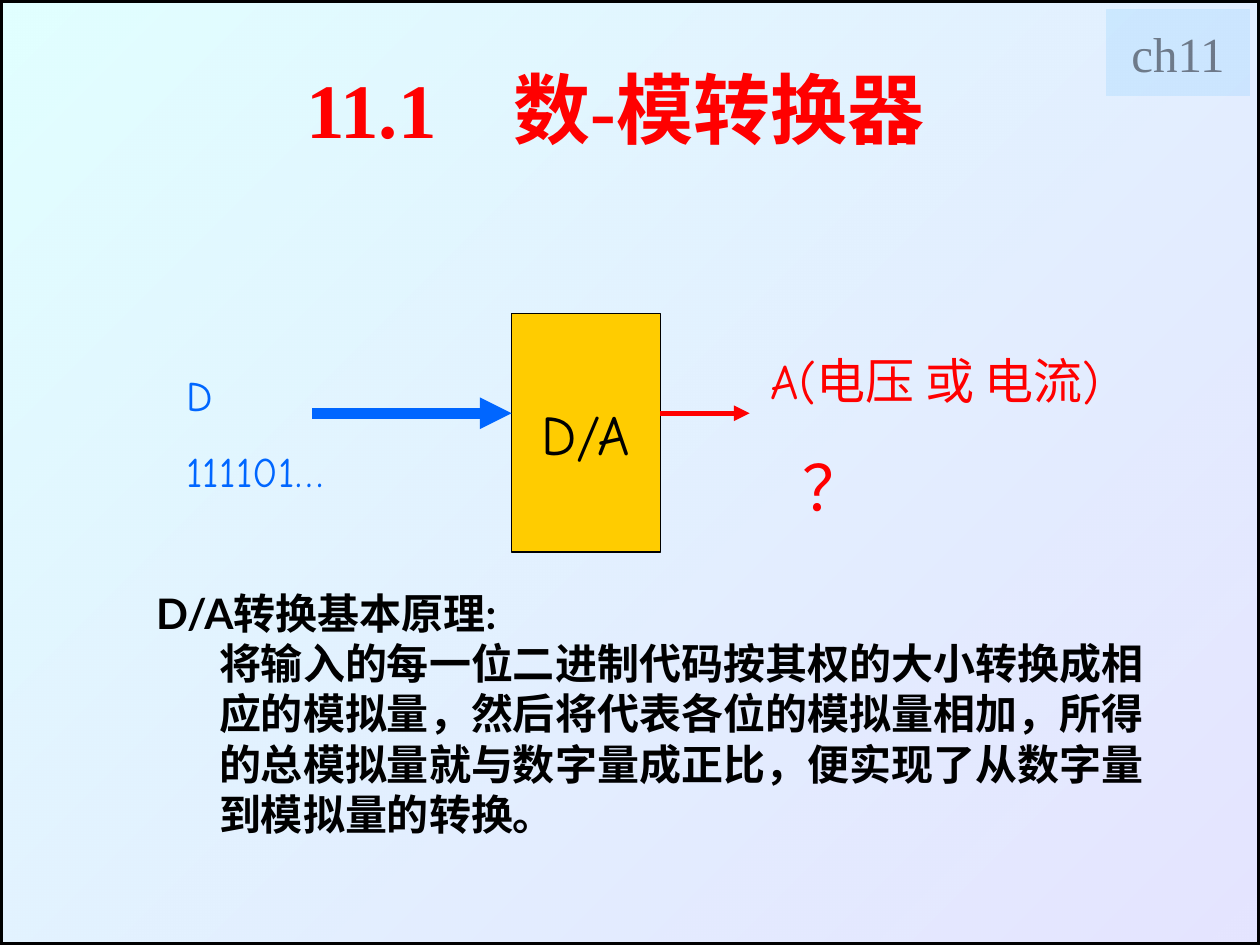
import pptx
import pptx.dml.color
import pptx.enum.shapes
import pptx.enum.text
import pptx.oxml
import pptx.oxml.ns
import pptx.util
from pptx.util import Inches, Pt

SHAPES = pptx.enum.shapes.MSO_SHAPE
ALIGN = pptx.enum.text.PP_ALIGN
ANCHOR = pptx.enum.text.MSO_ANCHOR

RED, BLUE, BLACK = "FF0000", "0066FF", "000000"
SERIF, COMIC, SANS = "Times New Roman", "Comic Neue", "Lato"

# paragraphs: text, size, space before, left indent
CHAPTER = [("ch11", 28, 7, 0)]
TITLE = [("11.1　数-模转换器", 44, 0, 0)]
DIGITAL_INPUT = [("D", 24, 15, 0), ("111101…", 24, 15, 0)]
CONVERTER = [("D/A", 32, 0, 0)]
ANALOG_OUTPUT = [("A(电压 或 电流)", 28, 17.5, 0), ("？", 36, 22.5, 0.25)]
PRINCIPLE = [
    ("D/A转换基本原理:", 24, 0, 0),
    ("将输入的每一位二进制代码按其权的大小转换成相应的模拟量，"
     "然后将代表各位的模拟量相加，所得的总模拟量就与数字量成正比，"
     "便实现了从数字量到模拟量的转换。", 24, 0, 0.5),
]

CONVERTER_BOX = (4.06, 2.49, 1.18, 1.89)
CONVERTER_LEFT = CONVERTER_BOX[0]
CONVERTER_RIGHT = CONVERTER_BOX[0] + CONVERTER_BOX[2]
SIGNAL_Y = 3.28
# start x, end x, colour, width
ARROWS = [(2.48, CONVERTER_LEFT, BLUE, 6), (CONVERTER_RIGHT, 5.95, RED, 3)]

# colour, opacity in percent
WASH = [("CCCCFF", 51), ("CCFFFF", 59)]


def rgb(value):
    return pptx.dml.color.RGBColor.from_string(value)


def add_xml(parent, tag, **attributes):
    element = pptx.oxml.parse_xml(f"<a:{tag} {pptx.oxml.ns.nsdecls('a')}/>")
    for name, value in attributes.items():
        element.set(name, value)
    parent.append(element)


def write(shape, paragraphs, font, color, bold=False, align=ALIGN.LEFT,
          anchor=ANCHOR.TOP, wrap=True):
    frame = shape.text_frame
    frame.word_wrap = wrap
    frame.vertical_anchor = anchor
    frame.text = "\n".join(text for text, *_ in paragraphs)
    for paragraph, (_, size, before, indent) in zip(frame.paragraphs, paragraphs):
        paragraph.alignment = align
        paragraph.space_before = Pt(before)
        paragraph.font.name = font
        paragraph.font.size = Pt(size)
        paragraph.font.bold = bold
        paragraph.font.color.rgb = rgb(color)
        if indent:
            properties = paragraph._p.get_or_add_pPr()
            properties.set("marL", str(Inches(indent)))
            properties.set("indent", "0")


def add_text(slide, box, paragraphs, font, color, **options):
    shape = slide.shapes.add_textbox(*map(Inches, box))
    write(shape, paragraphs, font, color, **options)


def add_rectangle(slide, box, line, width, fill=None):
    shape = slide.shapes.add_shape(SHAPES.RECTANGLE, *map(Inches, box))
    shape.shadow.inherit = False
    shape.line.color.rgb = rgb(line)
    shape.line.width = Pt(width)
    if fill:
        shape.fill.solid()
        shape.fill.fore_color.rgb = rgb(fill)
    return shape


def add_wash(slide):
    """Cover the slide with a framed, translucent diagonal gradient."""
    shape = add_rectangle(slide, (0, 0, 10, 7.5), BLACK, 3)
    shape.fill.gradient()
    shape.fill.gradient_angle = 135
    for stop, (color, opacity) in zip(shape.fill.gradient_stops, WASH):
        stop.color.rgb = rgb(color)
        color_element = stop._gs.find(pptx.oxml.ns.qn("a:srgbClr"))
        add_xml(color_element, "alpha", val=str(opacity * 1000))


def add_arrow(slide, start, end, color, width):
    arrow = slide.shapes.add_connector(
        pptx.enum.shapes.MSO_CONNECTOR.STRAIGHT,
        Inches(start), Inches(SIGNAL_Y), Inches(end), Inches(SIGNAL_Y))
    arrow.line.color.rgb = rgb(color)
    arrow.line.width = Pt(width)
    add_xml(arrow.line._get_or_add_ln(), "tailEnd", type="triangle")
    add_xml(arrow._element.spPr, "effectLst")


def main():
    presentation = pptx.Presentation()
    presentation.slide_width = Inches(10)
    presentation.slide_height = Inches(7.5)
    slide = presentation.slides.add_slide(presentation.slide_layouts[6])
    centered = dict(align=ALIGN.CENTER, anchor=ANCHOR.MIDDLE, wrap=False)

    chapter = add_rectangle(slide, (8.78, 0.08, 1.14, 0.68), "CCECFF", 0.75, "CCECFF")
    write(chapter, CHAPTER, SERIF, BLACK, **centered)
    add_wash(slide)
    add_text(slide, (0.51, 0.44, 8.75, 0.91), TITLE, SERIF, RED,
             bold=True, align=ALIGN.CENTER)

    add_text(slide, (1.38, 2.88, 1.58, 1.11), DIGITAL_INPUT, COMIC, BLUE)
    converter = add_rectangle(slide, CONVERTER_BOX, BLACK, 0.75, "FFCC00")
    write(converter, CONVERTER, COMIC, BLACK, **centered)
    for arrow in ARROWS:
        add_arrow(slide, *arrow)
    add_text(slide, (6.02, 2.73, 3.46, 1.48), ANALOG_OUTPUT, COMIC, RED)

    add_text(slide, (1.14, 4.61, 8.03, 2.1), PRINCIPLE, SANS, BLACK,
             bold=True, anchor=ANCHOR.MIDDLE)
    presentation.save("out.pptx")


if __name__ == "__main__":
    main()
